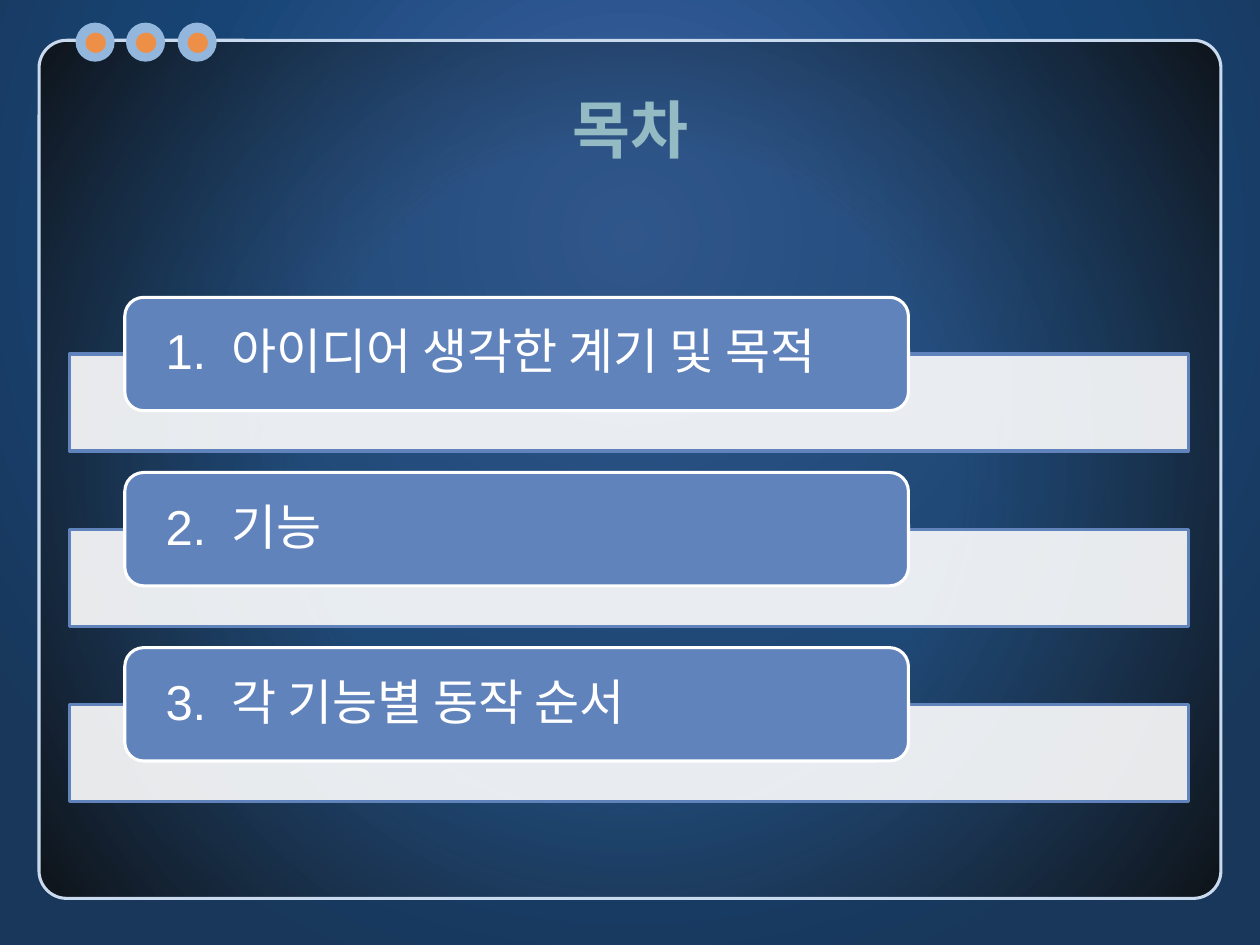
from lxml.etree import SubElement
from pptx import Presentation
from pptx.dml.color import RGBColor
from pptx.enum.shapes import MSO_SHAPE
from pptx.enum.text import MSO_ANCHOR, PP_ALIGN
from pptx.oxml.ns import qn
from pptx.util import Inches, Pt

NAVY = RGBColor(0x18, 0x37, 0x5A)
STEEL = RGBColor(0x25, 0x4B, 0x75)
PALE = RGBColor(0xC9, 0xDA, 0xEE)
SKY = RGBColor(0x93, 0xB6, 0xDD)
ORANGE = RGBColor(0xEE, 0x8F, 0x48)
TEAL = RGBColor(0x94, 0xBA, 0xC3)
BLUE = RGBColor(0x61, 0x83, 0xBB)
WHITE = RGBColor(0xFF, 0xFF, 0xFF)

deck = Presentation()
deck.slide_width, deck.slide_height = Inches(10), Inches(7.5)
slide = deck.slides.add_slide(deck.slide_layouts[6])


def draw(kind, left, top, width, height, fill, line=None):
    shape = slide.shapes.add_shape(
        kind, Inches(left), Inches(top), Inches(width), Inches(height))
    shape.shadow.inherit = False
    shape.fill.solid()
    shape.fill.fore_color.rgb = fill
    if line is None:
        shape.line.fill.background()
    else:
        shape.line.color.rgb = line
        shape.line.width = Pt(1.75)
    return shape


def write(shape, text, size, color, bold=False, align=PP_ALIGN.LEFT,
          inset=0.1, spacing=1.0):
    frame = shape.text_frame
    frame.word_wrap = True
    frame.vertical_anchor = MSO_ANCHOR.MIDDLE
    frame.margin_left = frame.margin_right = Inches(inset)
    para = frame.paragraphs[0]
    para.alignment = align
    para.line_spacing = spacing
    run = para.add_run()
    run.text = text
    font = run.font
    font.name, font.size, font.bold = "Arial", Pt(size), bold
    font.color.rgb = color
    return para


# Background and framed panel, both with circular gradients
slide.background.fill.solid()
slide.background.fill.fore_color.rgb = NAVY
panel = draw(MSO_SHAPE.ROUNDED_RECTANGLE, 0.31, 0.32, 9.38, 6.81, STEEL, PALE)
panel.adjustments[0] = 0.032

back = slide.element.find(".//" + qn("p:bgPr"))
glows = [
    (back, 0, 50, [(0, "4368AB", 100), (59, "174475", 100), (100, "18375A", 100)]),
    (panel.element.spPr, 50, 50, [(45, "254B75", 60), (100, "0D0D0D", 85)]),
]
for owner, top, bottom, stops in glows:
    solid = owner.find(qn("a:solidFill"))
    grad = solid.makeelement(qn("a:gradFill"), {"rotWithShape": "1"})
    owner.replace(solid, grad)
    group = SubElement(grad, qn("a:gsLst"))
    for place, color, alpha in stops:
        stop = SubElement(group, qn("a:gs"), pos=str(place * 1000))
        tint = SubElement(stop, qn("a:srgbClr"), val=color)
        if alpha < 100:
            SubElement(tint, qn("a:alpha"), val=str(alpha * 1000))
    focus = SubElement(grad, qn("a:path"), {"path": "circle"})
    SubElement(focus, qn("a:fillToRect"), l="50000", t=str(top * 1000),
               r="50000", b=str(bottom * 1000))

# Ringed dots on the panel's top edge
for left in (0.6, 1.0, 1.41):
    draw(MSO_SHAPE.OVAL, left, 0.18, 0.31, 0.31, SKY)
    draw(MSO_SHAPE.OVAL, left + 0.08, 0.26, 0.16, 0.16, ORANGE)

title = slide.shapes.add_textbox(
    Inches(0.55), Inches(0.5), Inches(8.91), Inches(1.04))
write(title, "목차", 36, TEAL, bold=True, align=PP_ALIGN.CENTER)

# Contents: a label over each translucent bar
topics = ["아이디어 생각한 계기 및 목적", "기능", "각 기능별 동작 순서"]
for index, topic in enumerate(topics):
    top = 2.36 + index * 1.39
    bar = draw(MSO_SHAPE.RECTANGLE, 0.55, top + 0.45, 8.88, 0.77, WHITE, BLUE)
    tint = bar.element.spPr.find(qn("a:solidFill"))[0]
    SubElement(tint, qn("a:alpha"), val="90000")
    label = draw(MSO_SHAPE.ROUNDED_RECTANGLE, 0.99, top, 6.22, 0.9, BLUE, WHITE)
    para = write(label, f"{index + 1}.\t{topic}", 28, WHITE,
                 inset=0.28, spacing=0.9)
    tabs = SubElement(para._p.get_or_add_pPr(), qn("a:tabLst"))
    SubElement(tabs, qn("a:tab"), pos=str(Inches(0.52)), algn="l")

deck.save("out.pptx")
